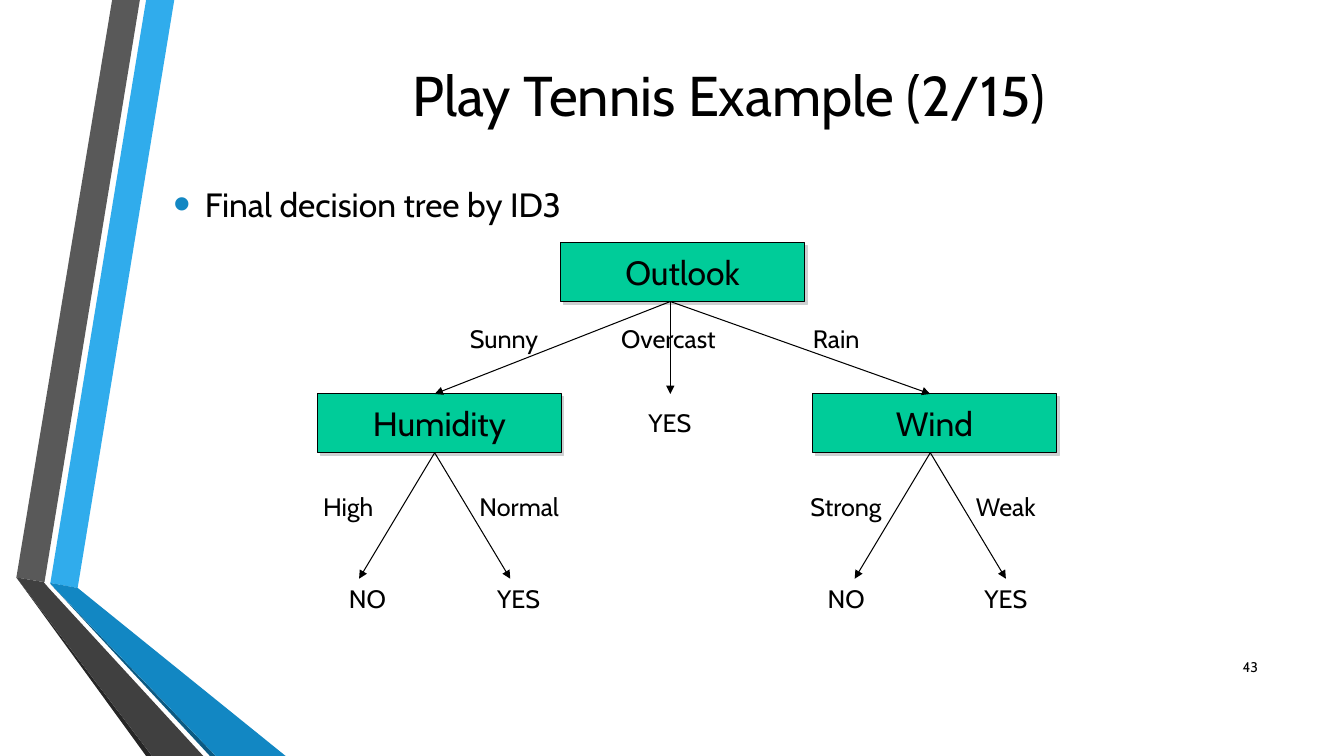
from lxml import etree
from pptx import Presentation
from pptx import util as u
from pptx.dml.color import RGBColor
from pptx.enum import shapes, text
from pptx.oxml import ns

COLOURS = {
    "ink": "000000", "node": "00CC99", "shadow": "CDD0D1", "bullet": "1287C3",
    "sky": "30ACEC", "blue": "1287C3", "navy": "0C5A82",
    "grey": "595959", "dark": "404040", "black": "262626",
}
COLUMNS, ROWS = 160, 90
LEFT, CENTRE, RIGHT = text.PP_ALIGN.LEFT, text.PP_ALIGN.CENTER, text.PP_ALIGN.RIGHT
TOP, MIDDLE = text.MSO_ANCHOR.TOP, text.MSO_ANCHOR.MIDDLE

# Ribbon faces in grid points, from back to front
RIBBONS = [
    ("sky", [(6, 69.4), (9.25, 70), (20.75, 0), (17.4, 0)]),
    ("grey", [(16.65, 0), (13.35, 0), (1.95, 68.75), (5.3, 69.3)]),
    ("black", [(1.95, 68.75), (17.4, 90), (18.1, 90)]),
    ("navy", [(6, 69.5), (25, 90), (25.7, 90)]),
    ("blue", [(6, 69.5), (25.7, 90), (34, 90), (9.25, 70), (6, 69.4)]),
    ("dark", [(24.2, 90), (5.8, 70), (5.2, 69.3), (1.95, 68.75), (18.1, 90)]),
]
NODE_SIZE = (29, 7)
NODES = [("Outlook", 66.75, 28.9), ("Humidity", 37.8, 46.9), ("Wind", 96.75, 46.9)]
ROOT_TIP, CHILD_TIPS = 79.8, (51.75, 110.75)
CHILD_SPREAD = 9
ROOT_FOOT, CHILD_TOP, CHILD_FOOT, LEAF_TOP = 35.9, 46.9, 53.9, 68.9
# Text, left column, width in columns
ROOT_LABELS = [("Sunny", 54.75, 11), ("Overcast", 72.75, 14), ("Rain", 95.6, 14)]
CHILD_LABELS = [("High", 37.3, 11), ("Normal", 55.9, 14),
                ("Strong", 95.3, 11.25), ("Weak", 115, 9.75)]
LEAVES = [("NO", 36.75), ("YES", 54.75), ("NO", 93.75), ("YES", 112.75)]
LEAF_WIDTH, LABEL_HEIGHT = 14, 4.8


class TreeSlide:
    font = "Cabin"
    line_width = u.Pt(0.75)

    def __init__(self, presentation):
        self.column = presentation.slide_width / COLUMNS
        self.row = presentation.slide_height / ROWS
        self.slide = presentation.slides.add_slide(presentation.slide_layouts[6])

    def place(self, column, row):
        """Turn grid columns and rows into whole EMU."""
        return round(column * self.column), round(row * self.row)

    def colour(self, name):
        return RGBColor.from_string(COLOURS[name])

    def fill_text(self, shape, words, size, align, anchor, wrap=True):
        frame = shape.text_frame
        frame.word_wrap = wrap
        frame.vertical_anchor = anchor
        paragraph = frame.paragraphs[0]
        paragraph.alignment = align
        run = paragraph.add_run()
        run.text = words
        run.font.name = self.font
        run.font.size = u.Pt(size)
        run.font.color.rgb = self.colour("ink")
        return paragraph

    def add_text(self, words, column, row, width, height=LABEL_HEIGHT,
                 size=18, align=LEFT, anchor=TOP):
        box = self.slide.shapes.add_textbox(*self.place(column, row),
                                            *self.place(width, height))
        return self.fill_text(box, words, size, align, anchor)

    def add_bullet(self, words, column, row, width, height):
        paragraph = self.add_text(words, column, row, width, height, 24, anchor=MIDDLE)
        indent = round(3.75 * self.column)
        properties = paragraph._p.get_or_add_pPr()
        properties.set("marL", str(indent))
        properties.set("indent", str(-indent))
        colour = etree.SubElement(properties, ns.qn("a:buClr"))
        etree.SubElement(colour, ns.qn("a:srgbClr"), val=COLOURS["bullet"])
        etree.SubElement(properties, ns.qn("a:buSzPct"), val="145000")
        etree.SubElement(properties, ns.qn("a:buFont"), typeface="Arial")
        etree.SubElement(properties, ns.qn("a:buChar"), char="•")

    def add_node(self, words, column, row):
        node = self.slide.shapes.add_shape(
            shapes.MSO_SHAPE.RECTANGLE, *self.place(column, row), *self.place(*NODE_SIZE))
        node.fill.solid()
        node.fill.fore_color.rgb = self.colour("node")
        node.line.color.rgb = self.colour("ink")
        node.line.width = self.line_width
        node.shadow.inherit = False
        effects = node.element.spPr.find(ns.qn("a:effectLst"))
        shadow = etree.SubElement(effects, ns.qn("a:outerShdw"), dist=str(u.Pt(2.8)),
                                  dir="2700000", algn="ctr", rotWithShape="0")
        etree.SubElement(shadow, ns.qn("a:srgbClr"), val=COLOURS["shadow"])
        self.fill_text(node, words, 24, CENTRE, MIDDLE, wrap=False)

    def add_arrow(self, start, end):
        arrow = self.slide.shapes.add_connector(
            shapes.MSO_CONNECTOR.STRAIGHT, *self.place(*start), *self.place(*end))
        arrow.line.color.rgb = self.colour("ink")
        arrow.line.width = self.line_width
        outline = arrow.element.spPr.find(ns.qn("a:ln"))
        etree.SubElement(outline, ns.qn("a:tailEnd"), type="triangle")
        etree.SubElement(arrow.element.spPr, ns.qn("a:effectLst"))

    def add_ribbon(self, colour, points):
        start, *rest = [self.place(*point) for point in points]
        builder = self.slide.shapes.build_freeform(*start)
        builder.add_line_segments(rest, close=True)
        ribbon = builder.convert_to_shape()
        ribbon.fill.solid()
        ribbon.fill.fore_color.rgb = self.colour(colour)
        ribbon.line.fill.background()
        ribbon.shadow.inherit = False


def main():
    presentation = Presentation()
    presentation.slide_width = u.Emu(12192000)
    presentation.slide_height = u.Emu(6858000)
    tree = TreeSlide(presentation)

    for colour, points in RIBBONS:
        tree.add_ribbon(colour, points)
    tree.add_text("Play Tennis Example (2/15)", 21, -0.25, 131.5, 23, 40, CENTRE, MIDDLE)
    tree.add_bullet("Final decision tree by ID3", 19.45, 14.4, 131.5, 19.7)

    for node in NODES:
        tree.add_node(*node)
    for tip in (CHILD_TIPS[0], ROOT_TIP, CHILD_TIPS[1]):
        tree.add_arrow((ROOT_TIP, ROOT_FOOT), (tip, CHILD_TOP))
    for tip in CHILD_TIPS:
        for offset in (-CHILD_SPREAD, CHILD_SPREAD):
            tree.add_arrow((tip, CHILD_FOOT), (tip + offset, LEAF_TOP))

    for row, labels in ((37.9, ROOT_LABELS), (57.85, CHILD_LABELS)):
        for words, column, width in labels:
            tree.add_text(words, column, row, width)
    tree.add_text("YES", 72.75, 47.9, LEAF_WIDTH, align=CENTRE)
    for words, column in LEAVES:
        tree.add_text(words, column, LEAF_TOP, LEAF_WIDTH, align=CENTRE)
    tree.add_text("43", 143.75, 77, 7.2, size=10, align=RIGHT, anchor=MIDDLE)

    presentation.save("out.pptx")


if __name__ == "__main__":
    main()
